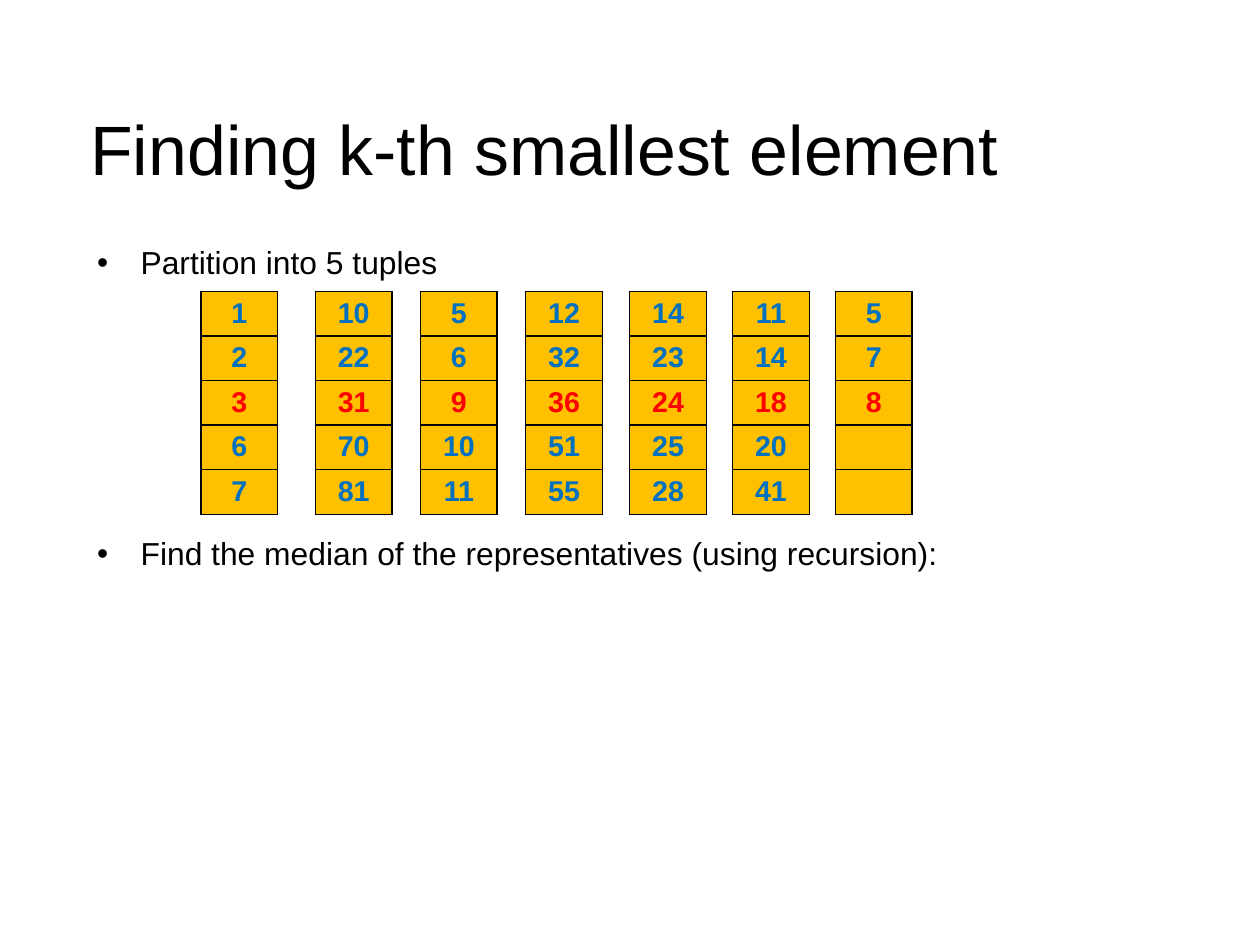
from lxml.etree import SubElement
from pptx import Presentation
from pptx.dml.color import RGBColor
from pptx.enum.text import MSO_ANCHOR, PP_ALIGN
from pptx.oxml.ns import qn
from pptx.util import Cm, Inches, Pt

TITLE = "Finding k-th smallest element"
BULLETS = [
    "Partition into 5 tuples",
    "Find the median of the representatives (using recursion):",
]
# Left edge of each tuple and its sorted values
TUPLES = [
    (1.76, [1, 2, 3, 6, 7]),
    (2.76, [10, 22, 31, 70, 81]),
    (3.68, [5, 6, 9, 10, 11]),
    (4.6, [12, 32, 36, 51, 55]),
    (5.51, [14, 23, 24, 25, 28]),
    (6.41, [11, 14, 18, 20, 41]),
    (7.31, [5, 7, 8, "", ""]),
]
TUPLE_TOP, CELL_WIDTH, CELL_HEIGHT = 2.55, 0.67, 0.39
MEDIAN_ROW = 2
BULLET_GAP = 161  # points, leaves room for the tuples
LINE_SPACING = 0.93
FONT = "Arial"
BLACK, BLUE, RED, GOLD = "000000", "0070C0", "FF0000", "FFC000"


def rgb(color):
    return RGBColor.from_string(color)


def style(p, size, color, bold=False):
    p.line_spacing = LINE_SPACING
    for r in p.runs:
        r.font.name, r.font.size, r.font.bold = FONT, Pt(size), bold
        r.font.color.rgb = rgb(color)


def add_text(slide, left, top, width, height, inset):
    tf = slide.shapes.add_textbox(
        Inches(left), Inches(top), Inches(width), Inches(height)).text_frame
    tf.word_wrap = True
    tf.margin_left = tf.margin_right = tf.margin_bottom = 0
    tf.margin_top = Inches(inset)
    return tf


def add_bullet(p):
    pPr = p._p.get_or_add_pPr()
    pPr.set("marL", str(Inches(0.44)))
    pPr.set("indent", str(Inches(-0.38)))
    color = SubElement(pPr, qn("a:buClr"))
    SubElement(color, qn("a:srgbClr"), val=BLACK)
    SubElement(pPr, qn("a:buFont"), typeface=FONT)
    SubElement(pPr, qn("a:buChar"), char="•")


def add_borders(cell):
    tcPr = cell._tc.get_or_add_tcPr()
    for side in ("lnL", "lnR", "lnT", "lnB"):
        line = SubElement(tcPr, qn(f"a:{side}"), w=str(Pt(1)))
        fill = SubElement(line, qn("a:solidFill"))
        SubElement(fill, qn("a:srgbClr"), val=BLACK)


def add_tuple(slide, left, values):
    table = slide.shapes.add_table(
        len(values), 1, Inches(left), Inches(TUPLE_TOP),
        Inches(CELL_WIDTH), Inches(CELL_HEIGHT * len(values))).table
    table.first_row = table.horz_banding = False
    for row, value in enumerate(values):
        table.rows[row].height = Inches(CELL_HEIGHT)
        cell = table.cell(row, 0)
        cell.margin_top, cell.margin_bottom = Inches(0.07), 0
        add_borders(cell)
        cell.fill.solid()
        cell.fill.fore_color.rgb = rgb(GOLD)
        p = cell.text_frame.paragraphs[0]
        p.text = str(value)
        p.alignment = PP_ALIGN.CENTER
        style(p, 18, RED if row == MEDIAN_ROW else BLUE, bold=True)


def main():
    prs = Presentation()
    prs.slide_width, prs.slide_height = Cm(28), Cm(21)
    slide = prs.slides.add_slide(prs.slide_layouts[6])

    tf = add_text(slide, 0.79, 0.62, 9.25, 1.37, 0.06)
    tf.vertical_anchor = MSO_ANCHOR.MIDDLE
    tf.text = TITLE
    style(tf.paragraphs[0], 44, BLACK)

    tf = add_text(slide, 0.79, 2.13, 9.68, 5.26, 0.02)
    tf.text = "\n".join(BULLETS)
    for p in tf.paragraphs:
        add_bullet(p)
        style(p, 20, BLACK)
    tf.paragraphs[0].space_after = Pt(BULLET_GAP)

    for left, values in TUPLES:
        add_tuple(slide, left, values)

    prs.save("out.pptx")


if __name__ == "__main__":
    main()
